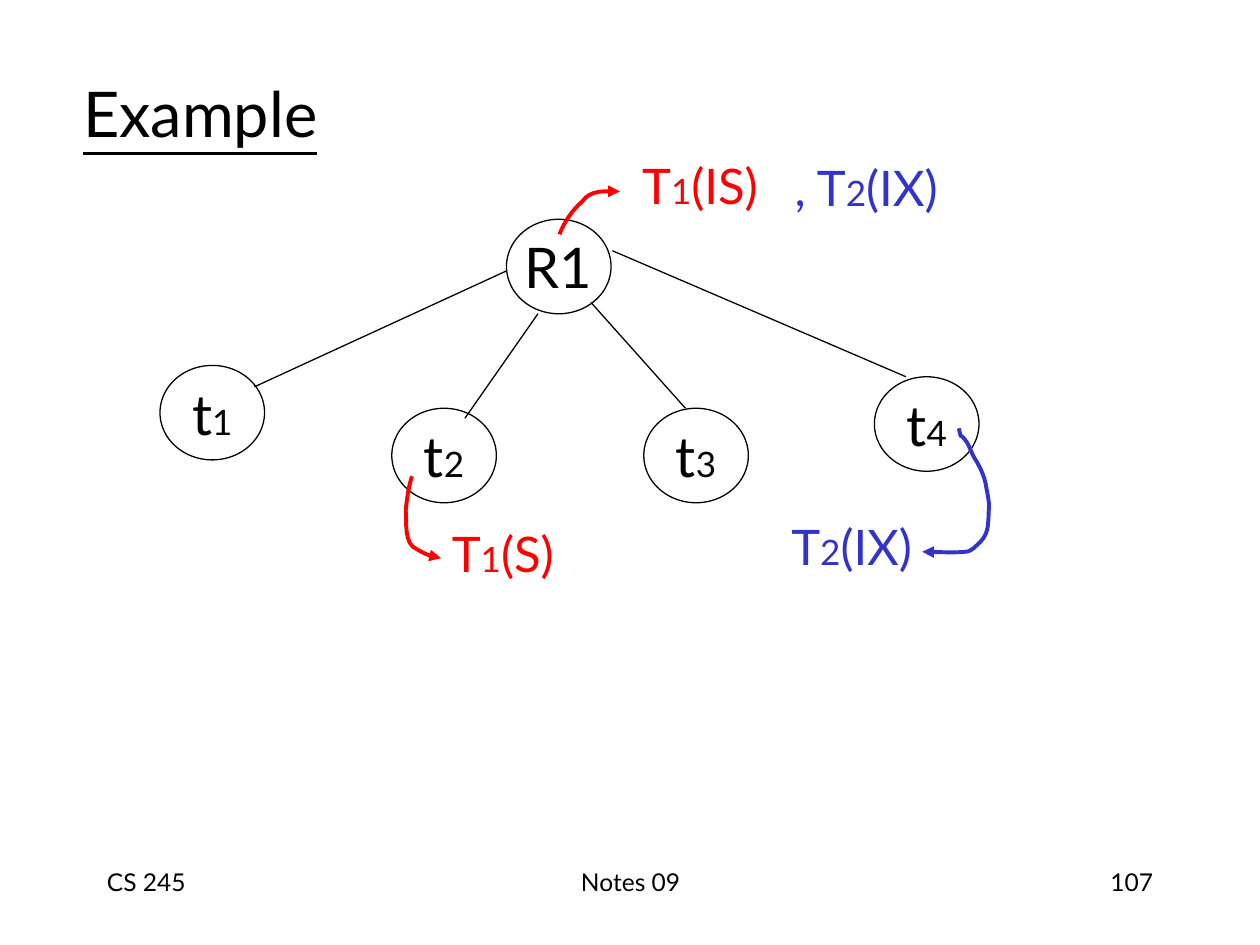
from lxml import etree
from pptx import Presentation
from pptx.dml.color import RGBColor
from pptx.enum.shapes import MSO_CONNECTOR, MSO_SHAPE
from pptx.enum.text import MSO_ANCHOR, MSO_AUTO_SIZE, PP_ALIGN
from pptx.oxml.ns import qn
from pptx.util import Pt

LEFT, CENTER, RIGHT = PP_ALIGN.LEFT, PP_ALIGN.CENTER, PP_ALIGN.RIGHT
TOP, MIDDLE = MSO_ANCHOR.TOP, MSO_ANCHOR.MIDDLE
EMU_PER_PX = 9144  # 100 px to the inch
TITLE_ONLY = 5
COLORS = {"black": "000000", "white": "FFFFFF", "first": "FF0000", "second": "3333CC"}
NODE_WIDTH, NODE_HEIGHT = 83, 75
LABEL_HEIGHT = 57
CURVE_STEPS = 8


def px(value):
    return round(value * EMU_PER_PX)


def color(name):
    return RGBColor.from_string(COLORS[name])


def bezier(start, control_1, control_2, end):
    """Points along a cubic curve, leaving out its start."""
    for step in range(1, CURVE_STEPS + 1):
        t = step / CURVE_STEPS
        weights = ((1 - t) ** 3, 3 * t * (1 - t) ** 2, 3 * t * t * (1 - t), t ** 3)
        corners = (start, control_1, control_2, end)
        yield tuple(px(sum(w * c[axis] for w, c in zip(weights, corners)))
                    for axis in (0, 1))


class SlideBuilder:
    font = "Lato"
    thin, thick = 0.75, 2.25

    def __init__(self, slide):
        self.slide = slide

    def add_text(self, shape, runs, ink="black", align=CENTER, anchor=MIDDLE,
                 wrap=False, underline=None):
        frame = shape.text_frame
        frame.word_wrap = wrap
        frame.vertical_anchor = anchor
        paragraph = frame.paragraphs[0]
        paragraph.alignment = align
        for text, size in runs:
            run = paragraph.add_run()
            run.text = text
            run.font.name = self.font
            run.font.size = Pt(size)
            run.font.underline = underline
            run.font.color.rgb = color(ink)

    def title(self, text, left, top, width, height):
        shape = self.slide.shapes.title
        shape.left, shape.top = px(left), px(top)
        shape.width, shape.height = px(width), px(height)
        shape.text_frame.auto_size = MSO_AUTO_SIZE.NONE
        self.add_text(shape, [(text, 36)], align=LEFT, wrap=True, underline=True)

    def text_box(self, left, top, width, height):
        return self.slide.shapes.add_textbox(px(left), px(top), px(width), px(height))

    def footer(self, text, left, width, align):
        box = self.text_box(left, 683, width, 50)
        self.add_text(box, [(text, 14)], align=align, anchor=TOP, wrap=True)

    def lock_label(self, name, number, mode, ink, left, top, width):
        box = self.text_box(left, top, width, LABEL_HEIGHT)
        self.add_text(box, [(name, 28), (number, 20), (mode, 28)], ink)
        box.text_frame.auto_size = MSO_AUTO_SIZE.SHAPE_TO_FIT_TEXT

    def node(self, runs, left, top):
        shape = self.slide.shapes.add_shape(
            MSO_SHAPE.OVAL, px(left), px(top), px(NODE_WIDTH), px(NODE_HEIGHT))
        shape.shadow.inherit = False
        shape.fill.solid()
        shape.fill.fore_color.rgb = color("white")
        self.outline(shape, "black", self.thin)
        self.add_text(shape, runs)

    def outline(self, shape, ink, width):
        shape.line.color.rgb = color(ink)
        shape.line.width = Pt(width)

    def edge(self, start, end):
        line = self.slide.shapes.add_connector(
            MSO_CONNECTOR.STRAIGHT, *map(px, start + end))
        self.outline(line, "black", self.thin)
        etree.SubElement(line._element.spPr, qn("a:effectLst"))

    def curved_arrow(self, ink, start, curves):
        points = []
        position = start
        for curve in curves:
            points.extend(bezier(position, *curve))
            position = curve[-1]
        builder = self.slide.shapes.build_freeform(px(start[0]), px(start[1]))
        builder.add_line_segments(points, close=False)
        shape = builder.convert_to_shape()
        shape.shadow.inherit = False
        shape.fill.background()
        self.outline(shape, ink, self.thick)
        line = shape._element.spPr.find(qn("a:ln"))
        etree.SubElement(line, qn("a:tailEnd"), type="triangle")


def main():
    presentation = Presentation()
    presentation.slide_width, presentation.slide_height = px(1000), px(750)
    slide = presentation.slides.add_slide(presentation.slide_layouts[TITLE_ONLY])
    builder = SlideBuilder(slide)

    # Footer and title
    builder.footer("CS 245", 75, 208, LEFT)
    builder.footer("Notes 09", 342, 317, CENTER)
    builder.footer("107", 717, 208, RIGHT)
    builder.title("Example", 56, 43, 850, 92)

    # Relation and its tuples
    builder.node([("R1", 32)], 402, 174)
    tuple_places = [(127, 290), (311, 324), (511, 324), (694, 299)]
    for number, (left, top) in enumerate(tuple_places, start=1):
        builder.node([("t", 32), (str(number), 20)], left, top)

    # Tree edges
    for start, end in [((402, 215), (202, 307)), ((427, 249), (369, 332)),
                       ((469, 240), (544, 324)), ((486, 199), (719, 299))]:
        builder.edge(start, end)

    # Locks of the first transaction
    builder.lock_label("T", "1", "(IS)", "first", 498, 118, 115)
    builder.lock_label("T", "1", "(S)", "first", 348, 410, 102)
    builder.curved_arrow("first", (444, 186), [
        ((448, 176), (454, 167), (462, 160)),
        ((469, 150), (481, 152), (492, 152))])
    builder.curved_arrow("first", (327, 378), [
        ((324, 387), (323, 396), (322, 405)),
        ((323, 413), (320, 432), (331, 436)),
        ((336, 439), (344, 443), (350, 443))])

    # Locks of the second transaction
    builder.lock_label(", T", "2", "(IX)", "second", 619, 120, 137)
    builder.lock_label("T", "2", "(IX)", "second", 618, 405, 116)
    builder.curved_arrow("second", (761, 340), [
        ((764, 352), (760, 340), (768, 352)),
        ((771, 358), (772, 362), (775, 366)),
        ((779, 373), (782, 380), (783, 388)),
        ((784, 392), (785, 400), (785, 400)),
        ((784, 418), (786, 424), (774, 434)),
        ((772, 436), (769, 438), (766, 438)),
        ((755, 439), (744, 438), (732, 438))])

    presentation.save("out.pptx")


if __name__ == "__main__":
    main()
